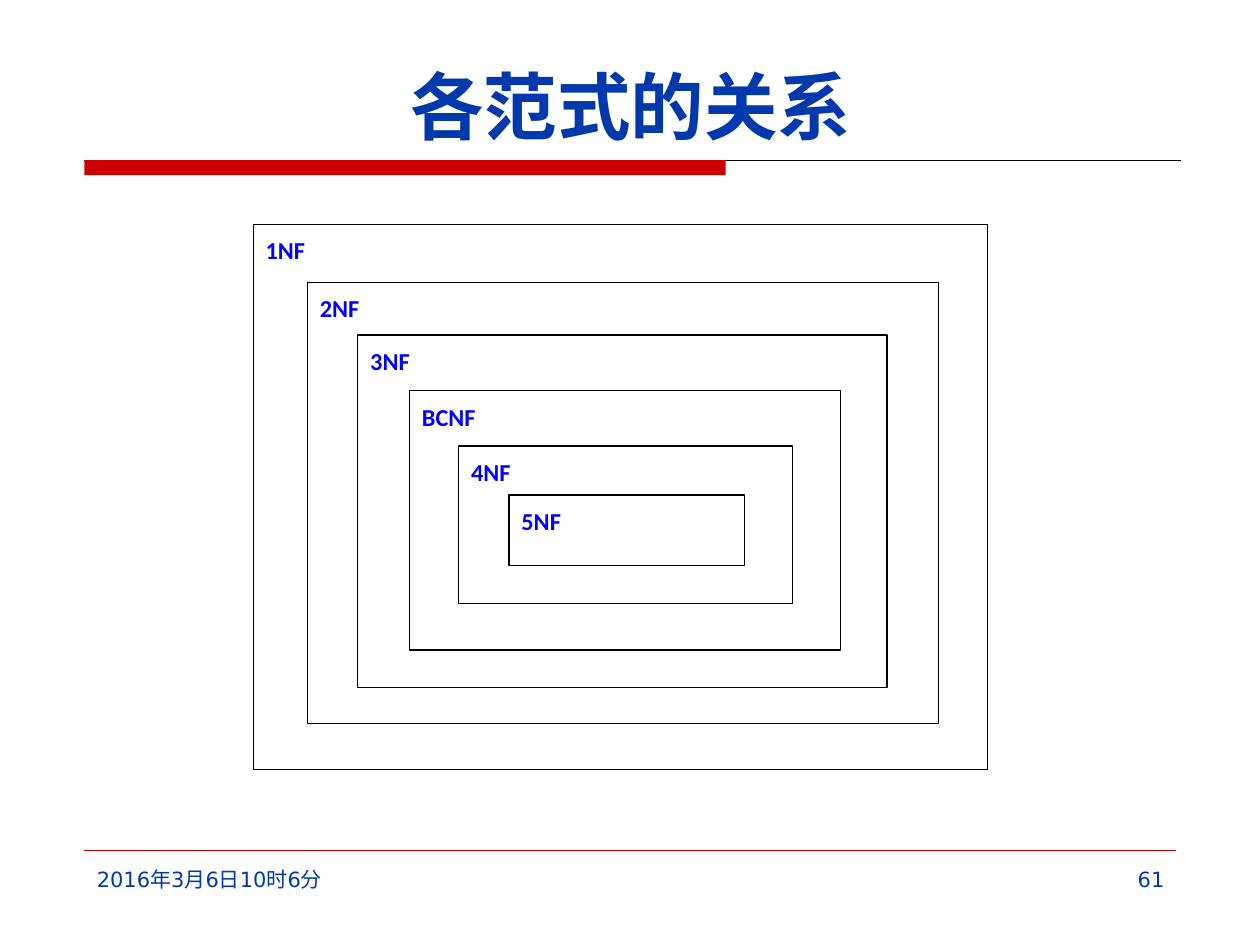
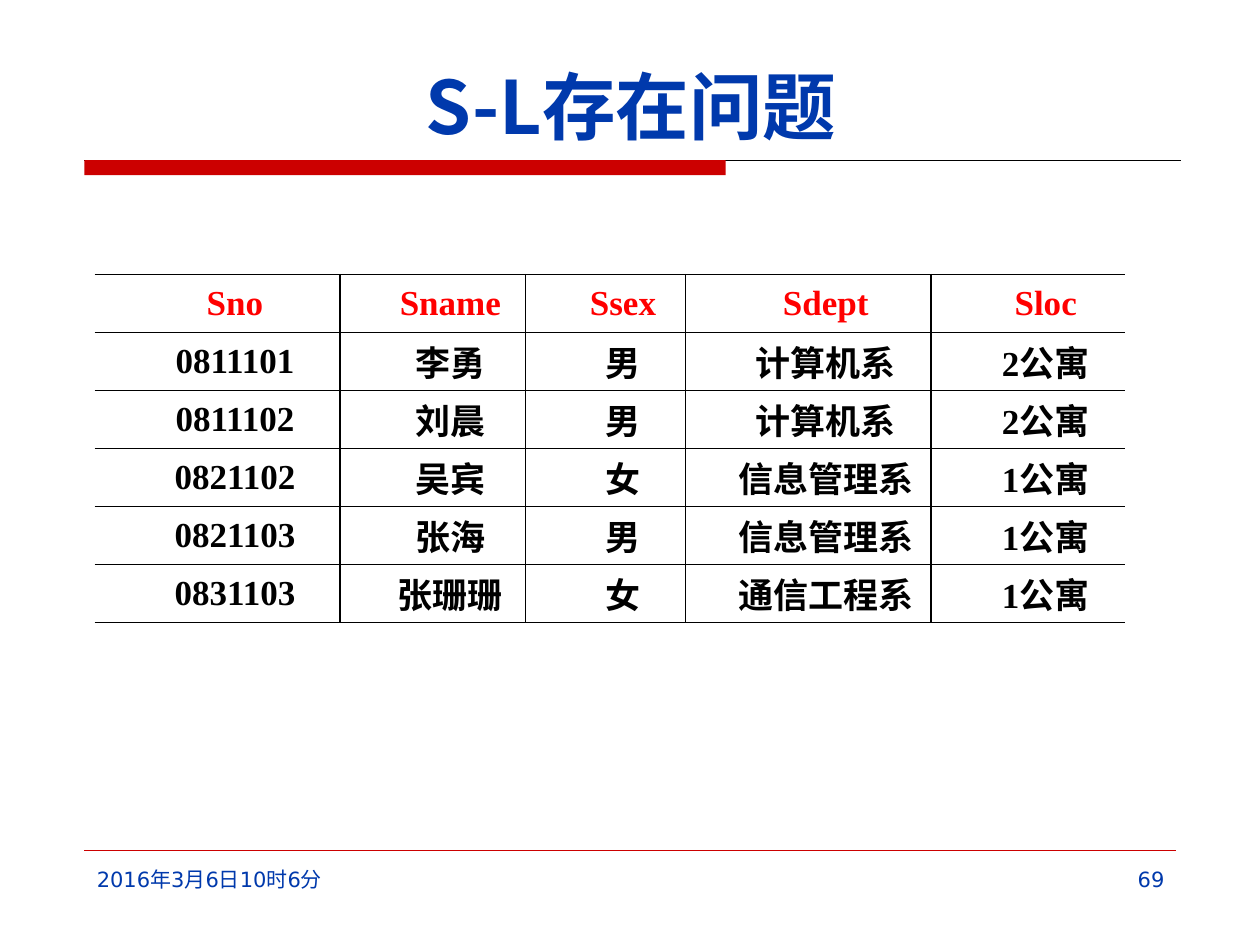
from dataclasses import dataclass
from typing import NamedTuple

from lxml.etree import SubElement
from pptx import Presentation
from pptx.dml.color import RGBColor
from pptx.enum.shapes import MSO_CONNECTOR, MSO_SHAPE
from pptx.enum.text import MSO_ANCHOR, PP_ALIGN
from pptx.oxml.ns import qn
from pptx.util import Emu, Inches, Pt


# Theme and grid
@dataclass(frozen=True)
class Theme:
    navy: str = "0039AC"
    red: str = "CC0000"
    header: str = "FF0000"
    label: str = "0000FF"
    black: str = "000000"
    white: str = "FFFFFF"
    cjk: str = "Noto Sans CJK SC"
    footer_font: str = "DejaVu Sans"
    label_font: str = "Calibri"
    table_font: str = "Times New Roman"
    title_size: int = 42
    label_size: int = 24
    table_size: int = 20
    footer_size: int = 12


class Box(NamedTuple):
    """A place on the grid: left column, top row, columns wide, rows high."""
    left: float
    top: float
    width: float
    height: float


class NormalForm(NamedTuple):
    label: str
    box: Box


T = Theme()
CELL = Inches(0.1)
COLS, ROWS = 100, 75

TITLE = Box(6.3, 3.3, 87.5, 9)
BAR = Box(6.7, 12.7, 50.9, 1.2)
RULE_END = 93.7
FOOTER_LINE = Box(6.7, 67.5, 86.6, 0)
DATE = Box(6.7, 68.3, 22.1, 5.2)
PAGE = Box(71.7, 68.3, 21.7, 5.2)
DATE_TEXT = "2016年3月6日10时6分"

NORMAL_FORMS = [
    NormalForm("1NF", Box(20.1, 17.8, 58.3, 43.3)),
    NormalForm("2NF", Box(24.4, 22.4, 50.1, 35)),
    NormalForm("3NF", Box(28.4, 26.6, 42, 28)),
    NormalForm("BCNF", Box(32.5, 31, 34.2, 20.6)),
    NormalForm("4NF", Box(36.4, 35.4, 26.5, 12.5)),
    NormalForm("5NF", Box(40.4, 39.3, 18.7, 5.6)),
]

TABLE_LEFT, TABLE_TOP, ROW_HEIGHT = 7.5, 21.8, 4.6
COL_WIDTHS = [19.5, 14.7, 12.7, 19.5, 15.4]
STUDENTS = [
    ("Sno", "Sname", "Ssex", "Sdept", "Sloc"),
    ("0811101", "李勇", "男", "计算机系", "2公寓"),
    ("0811102", "刘晨", "男", "计算机系", "2公寓"),
    ("0821102", "吴宾", "女", "信息管理系", "1公寓"),
    ("0821103", "张海", "男", "信息管理系", "1公寓"),
    ("0831103", "张珊珊", "女", "通信工程系", "1公寓"),
]


def grid(n: float) -> Emu:
    return Emu(round(n * CELL))


def place(box: Box) -> list[Emu]:
    return [grid(n) for n in box]


def rgb(color: str) -> RGBColor:
    return RGBColor.from_string(color)


# Text and lines
def write(tf, text: str, *, size: float, color: str, font: str, ea: str = T.cjk,
          bold: bool = False, align=PP_ALIGN.LEFT, anchor=MSO_ANCHOR.TOP,
          baseline: int = 0, indent: float = 0, space: float = 0) -> None:
    tf.word_wrap = True
    tf.vertical_anchor = anchor
    p = tf.paragraphs[0]
    p.alignment = align
    p.space_before = p.space_after = Pt(space)
    if indent:
        p._p.get_or_add_pPr().set("indent", str(grid(indent)))
    r = p.add_run()
    r.text = text
    r.font.size, r.font.bold, r.font.name = Pt(size), bold, font
    r.font.color.rgb = rgb(color)
    rPr = r._r.get_or_add_rPr()
    SubElement(rPr, qn("a:ea")).set("typeface", ea)
    if baseline:
        rPr.set("baseline", str(baseline * 1000))


def add_text(slide, box: Box, text: str, **fmt) -> None:
    write(slide.shapes.add_textbox(*place(box)).text_frame, text, **fmt)


def add_line(slide, x1: float, x2: float, y: float, color: str, width: float) -> None:
    ln = slide.shapes.add_connector(MSO_CONNECTOR.STRAIGHT,
                                    grid(x1), grid(y), grid(x2), grid(y))
    ln.line.color.rgb, ln.line.width = rgb(color), Pt(width)
    SubElement(ln._element.spPr, qn("a:effectLst"))


def add_rect(slide, box: Box, fill: str, line: str | None = None):
    sp = slide.shapes.add_shape(MSO_SHAPE.RECTANGLE, *place(box))
    sp.shadow.inherit = False
    sp.fill.solid()
    sp.fill.fore_color.rgb = rgb(fill)
    if line:
        sp.line.color.rgb, sp.line.width = rgb(line), Pt(0.75)
    else:
        sp.line.fill.background()
    return sp


# Shared frame: title, red band, footer
def add_frame(prs, title: str, page: int):
    slide = prs.slides.add_slide(prs.slide_layouts[6])
    add_line(slide, BAR.left, RULE_END, BAR.top, T.black, 0.25)
    add_rect(slide, BAR, T.red)
    add_line(slide, FOOTER_LINE.left, FOOTER_LINE.left + FOOTER_LINE.width,
             FOOTER_LINE.top, T.red, 0.25)
    add_text(slide, TITLE, title, size=T.title_size, color=T.navy, font=T.cjk,
             bold=True, align=PP_ALIGN.CENTER, anchor=MSO_ANCHOR.BOTTOM)
    for box, text, align in ((DATE, DATE_TEXT, PP_ALIGN.LEFT),
                             (PAGE, str(page), PP_ALIGN.RIGHT)):
        add_text(slide, box, text, size=T.footer_size, color=T.navy,
                 font=T.footer_font, ea=T.footer_font, align=align)
    return slide


# Nested normal forms, outermost first
def add_normal_forms(slide) -> None:
    for form in NORMAL_FORMS:
        sp = add_rect(slide, form.box, T.white, T.black)
        write(sp.text_frame, form.label, size=T.label_size, color=T.label,
              font=T.label_font, bold=True, align=PP_ALIGN.JUSTIFY, baseline=30)


# Student table, open at its left and right sides
def set_borders(cell, open_sides: set[str]) -> None:
    tcPr = cell._tc.get_or_add_tcPr()
    for side in "LRTB":
        ln = SubElement(tcPr, qn(f"a:ln{side}"), w=str(Pt(1)))
        if side in open_sides:
            SubElement(ln, qn("a:noFill"))
        else:
            fill = SubElement(ln, qn("a:solidFill"))
            SubElement(fill, qn("a:srgbClr"), val=T.black)


def add_students(slide) -> None:
    n_rows, n_cols = len(STUDENTS), len(COL_WIDTHS)
    box = Box(TABLE_LEFT, TABLE_TOP, sum(COL_WIDTHS), n_rows * ROW_HEIGHT)
    table = slide.shapes.add_table(n_rows, n_cols, *place(box)).table
    table.first_row = table.horz_banding = False
    for col, width in zip(table.columns, COL_WIDTHS):
        col.width = grid(width)
    for i, values in enumerate(STUDENTS):
        table.rows[i].height = grid(ROW_HEIGHT)
        for j, text in enumerate(values):
            cell = table.cell(i, j)
            cell.margin_left = cell.margin_right = grid(0.7)
            cell.margin_top = cell.margin_bottom = 0
            write(cell.text_frame, text, size=T.table_size, font=T.table_font,
                  color=T.black if i else T.header, bold=True,
                  align=PP_ALIGN.CENTER, indent=2.8, space=1.2)
            cell.vertical_anchor = MSO_ANCHOR.MIDDLE
            set_borders(cell, {"L"} if j == 0 else {"R"} if j == n_cols - 1 else set())
            cell.fill.background()


def main() -> None:
    prs = Presentation()
    prs.slide_width, prs.slide_height = grid(COLS), grid(ROWS)
    add_normal_forms(add_frame(prs, "各范式的关系", 61))
    add_students(add_frame(prs, "S-L存在问题", 69))
    prs.save("out.pptx")


if __name__ == "__main__":
    main()
